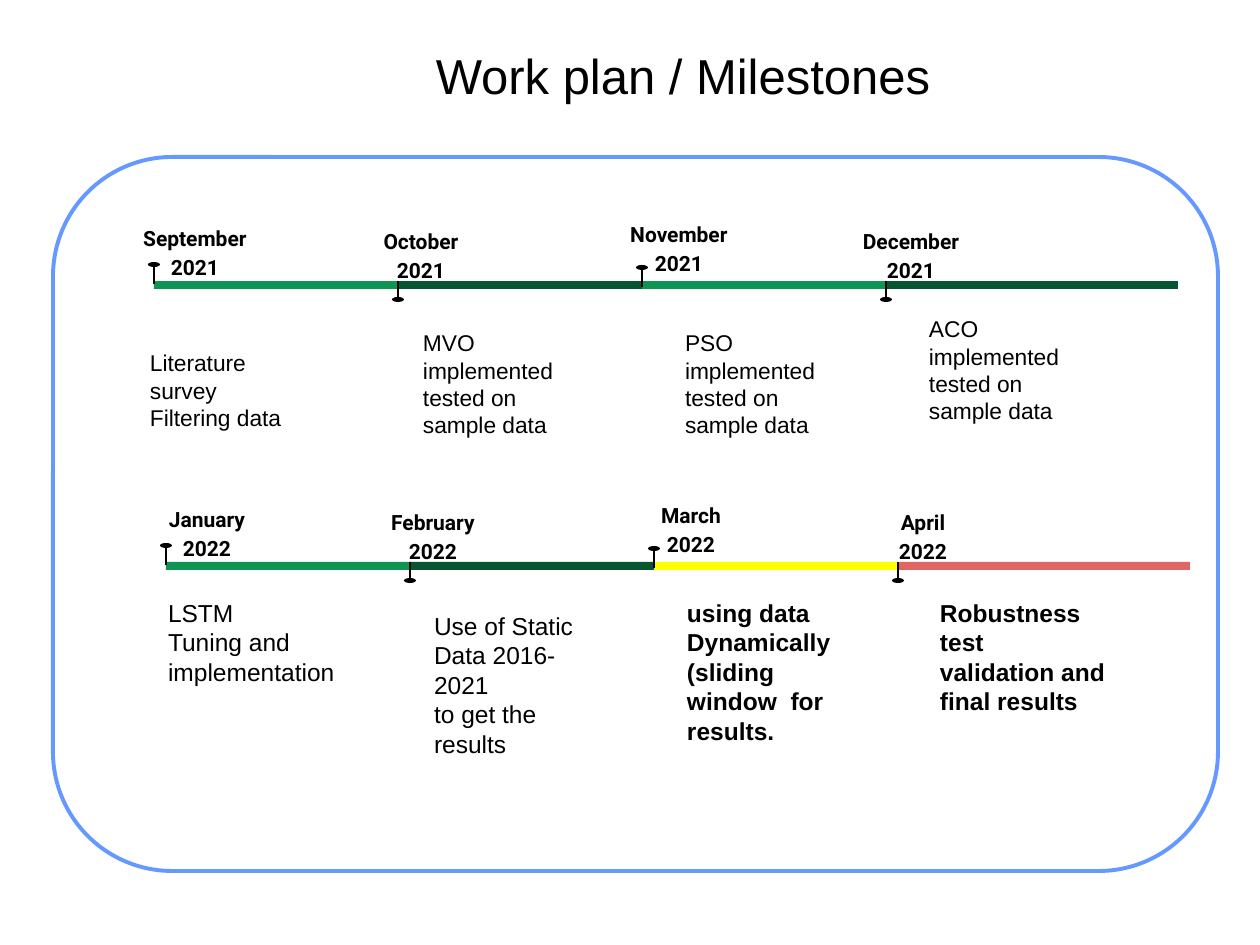
from dataclasses import dataclass

from lxml.etree import SubElement
from pptx import Presentation
from pptx.dml.color import RGBColor
from pptx.enum.shapes import MSO_CONNECTOR, MSO_SHAPE
from pptx.enum.text import MSO_ANCHOR, MSO_AUTO_SIZE, PP_ALIGN
from pptx.oxml.ns import qn
from pptx.util import Emu, Pt

PX_PER_INCH = 126
COLORS = {
    "white": "FFFFFF",
    "black": "000000",
    "frame": "6699FF",
    "green": "0E9453",
    "dark_green": "085631",
    "yellow": "FFFF00",
    "red": "E06666",
}
STEP = 244
BAR_HEIGHT = 8
PIN_LENGTH = 19
HEAD_WIDTH, HEAD_HEIGHT = 12, 5


@dataclass(frozen=True)
class Slot:
    bar_width: int
    label_dx: int
    label_dy: int
    label_width: int
    pin_dy: int
    pin_up: bool


@dataclass(frozen=True)
class Milestone:
    month: str
    color: str
    tasks: tuple[str, ...]
    dx: int
    dy: int
    height: int
    width: int = 193
    bold: bool = False


@dataclass(frozen=True)
class Timeline:
    left: int
    top: int
    task_size: int
    milestones: tuple[Milestone, ...]


SLOTS = (
    Slot(STEP, -29, -69, 140, -16, True),
    Slot(STEP, -40, -66, 126, 0, False),
    Slot(STEP, -26, -73, 126, -13, True),
    Slot(292, -42, -66, 134, 0, False),
)


def trial(method: str) -> tuple[str, ...]:
    return (method, "implemented", "tested on sample data")


TIMELINES = (
    Timeline(154, 281, 13, (
        Milestone("September\n2021", "green", ("Literature survey", "Filtering data"),
                  -17, 55, 108, width=190),
        Milestone("October 2021", "dark_green", trial("MVO"), 12, 35, 136),
        Milestone("November\n2021", "green", trial("PSO"), 30, 35, 136),
        Milestone("December 2021", "dark_green", trial("ACO"), 30, 21, 136),
    )),
    Timeline(166, 562, 14, (
        Milestone("January 2022", "green", ("LSTM", "Tuning and implementation"),
                  -11, 23, 115, width=195),
        Milestone("February 2022", "dark_green",
                  ("Use of Static Data 2016-2021", "to get the results"), 11, 36, 174),
        Milestone("March 2022", "yellow",
                  ("using data Dynamically (sliding window  for results.",),
                  20, 23, 174, bold=True),
        Milestone("April\n2022", "red", ("Robustness test", "validation and final results"),
                  29, 23, 144, bold=True),
    )),
)


def px(length: int) -> Emu:
    return Emu(round(length * 914400 / PX_PER_INCH))


def rgb(name: str) -> RGBColor:
    return RGBColor.from_string(COLORS[name])


def add_filled(slide, preset, left: int, top: int, width: int, height: int, color: str):
    shape = slide.shapes.add_shape(preset, px(left), px(top), px(width), px(height))
    shape.shadow.inherit = False
    shape.fill.solid()
    shape.fill.fore_color.rgb = rgb(color)
    shape.line.fill.background()
    return shape


def add_text(slide, paragraphs: tuple[str, ...], left: int, top: int, width: int, height: int, *,
             size: int, font: str = "Arial", bold: bool = False, align=PP_ALIGN.LEFT,
             anchor=MSO_ANCHOR.TOP, inset: int = 13, line_spacing: float = 1.0,
             space_after: int = 0, auto_size=MSO_AUTO_SIZE.NONE) -> None:
    frame = slide.shapes.add_textbox(px(left), px(top), px(width), px(height)).text_frame
    frame.word_wrap = True
    frame.auto_size = auto_size
    frame.vertical_anchor = anchor
    frame.margin_left = frame.margin_right = px(inset)
    frame.margin_top = frame.margin_bottom = px(inset)
    for index, text in enumerate(paragraphs):
        paragraph = frame.add_paragraph() if index else frame.paragraphs[0]
        paragraph.alignment = align
        paragraph.line_spacing = line_spacing
        paragraph.space_after = Pt(space_after)
        for number, line in enumerate(text.split("\n")):
            if number:
                paragraph.add_line_break()
            run = paragraph.add_run()
            run.text = line
            run.font.name = font
            run.font.size = Pt(size)
            run.font.bold = bold
            run.font.color.rgb = rgb("black")


def add_pin(slide, x: int, top: int, points_up: bool) -> None:
    bottom = top + PIN_LENGTH
    start, end = (top, bottom) if points_up else (bottom, top)
    stem = slide.shapes.add_connector(MSO_CONNECTOR.STRAIGHT, px(x), px(start), px(x), px(end))
    stem.line.color.rgb = rgb("black")
    stem.line.width = Pt(0.75)
    SubElement(stem._element.spPr, qn("a:effectLst"))
    add_filled(slide, MSO_SHAPE.OVAL, x - HEAD_WIDTH // 2, start - 3,
               HEAD_WIDTH, HEAD_HEIGHT, "black")


def add_milestone(slide, milestone: Milestone, slot: Slot, x: int, y: int, size: int) -> None:
    add_filled(slide, MSO_SHAPE.RECTANGLE, x, y, slot.bar_width, BAR_HEIGHT, milestone.color)
    add_pin(slide, x, y + slot.pin_dy, slot.pin_up)
    add_text(slide, (milestone.month,), x + slot.label_dx, y + slot.label_dy,
             slot.label_width, 20, size=12, font="Roboto", bold=True,
             align=PP_ALIGN.CENTER, line_spacing=1.15, space_after=16)
    add_text(slide, milestone.tasks, x + milestone.dx, y + milestone.dy,
             milestone.width, milestone.height, size=size, bold=milestone.bold,
             auto_size=MSO_AUTO_SIZE.SHAPE_TO_FIT_TEXT)


def main() -> None:
    deck = Presentation()
    deck.slide_width, deck.slide_height = px(1260), px(945)
    slide = deck.slides.add_slide(deck.slide_layouts[6])

    frame = add_filled(slide, MSO_SHAPE.ROUNDED_RECTANGLE, 53, 157, 1165, 714, "white")
    frame.adjustments[0] = 0.167
    frame.line.color.rgb = rgb("frame")
    frame.line.width = Pt(2.25)

    add_text(slide, ("Work plan / Milestones",), 116, 0, 1134, 149, size=28,
             align=PP_ALIGN.CENTER, anchor=MSO_ANCHOR.MIDDLE, inset=6)

    for timeline in TIMELINES:
        for index, (milestone, slot) in enumerate(zip(timeline.milestones, SLOTS)):
            add_milestone(slide, milestone, slot, timeline.left + index * STEP,
                          timeline.top, timeline.task_size)

    deck.save("out.pptx")


if __name__ == "__main__":
    main()
